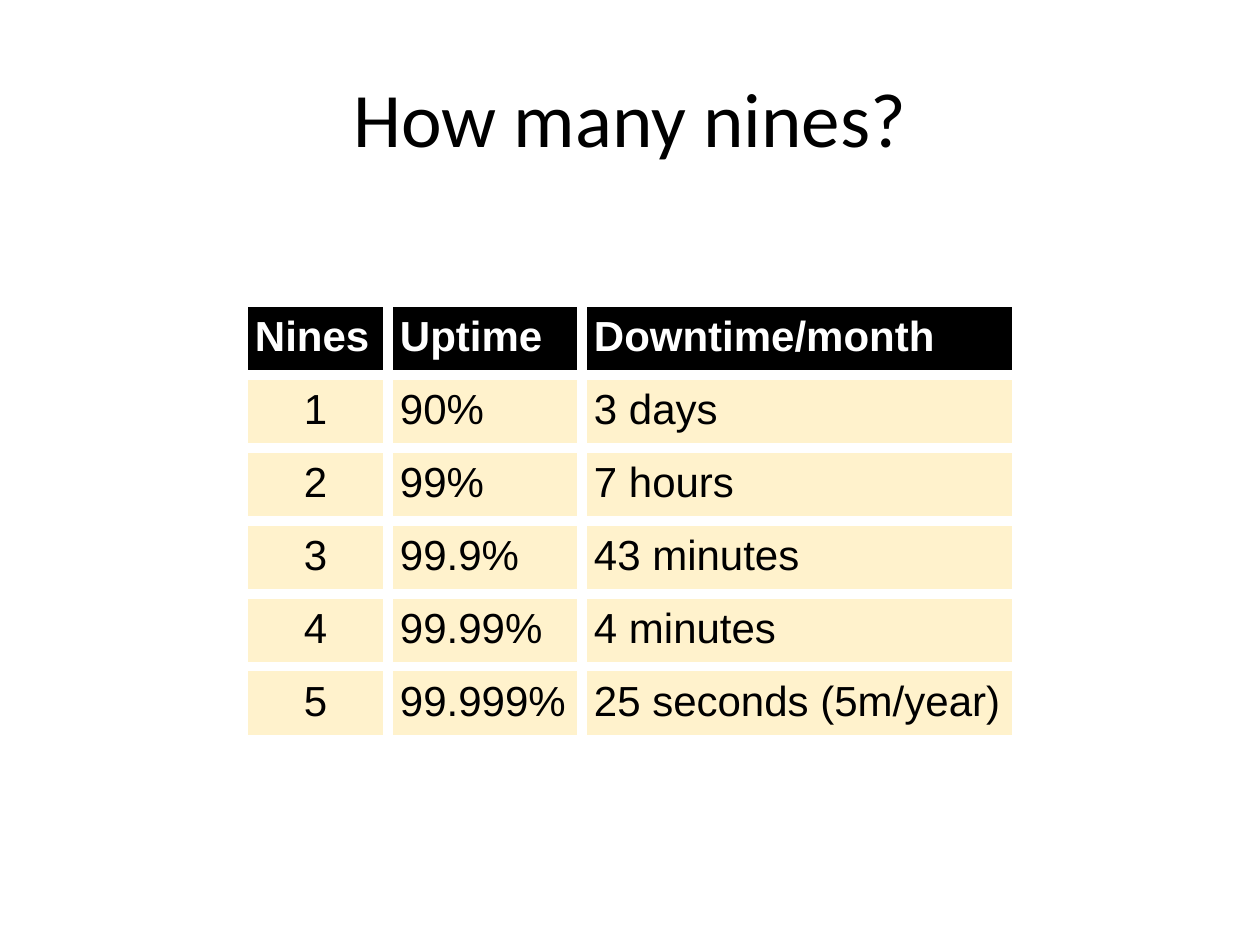
from lxml.etree import SubElement
from pptx import Presentation
from pptx.dml.color import RGBColor
from pptx.enum.text import MSO_ANCHOR, PP_ALIGN
from pptx.oxml.ns import qn
from pptx.util import Pt

PX_PER_INCH = 126
BLACK, WHITE, CREAM = "000000", "FFFFFF", "FFF2CC"
ROWS = [
    ("Nines", "Uptime", "Downtime/month"),
    ("1", "90%", "3 days"),
    ("2", "99%", "7 hours"),
    ("3", "99.9%", "43 minutes"),
    ("4", "99.99%", "4 minutes"),
    ("5", "99.999%", "25 seconds (5m/year)"),
]
COLUMN_WIDTHS = (145, 194, 435)


def px(n):
    return round(n * 914400 / PX_PER_INCH)


def rgb(value):
    return RGBColor.from_string(value)


def format_run(r, color, **formats):
    for name, value in formats.items():
        setattr(r.font, name, value)
    r.font.color.rgb = rgb(color)


def set_borders(cell, color, width):
    tc_pr = cell._tc.get_or_add_tcPr()
    for i, side in enumerate(("lnL", "lnR", "lnT", "lnB")):
        ln = SubElement(tc_pr, qn(f"a:{side}"), w=str(Pt(width)))
        fill = SubElement(ln, qn("a:solidFill"))
        SubElement(fill, qn("a:srgbClr"), val=color)
        tc_pr.remove(ln)
        tc_pr.insert(i, ln)  # borders come before the fill


def add_title(s, text, left, top, width, height):
    sp = s.shapes.title
    sp.left, sp.top, sp.width, sp.height = map(px, (left, top, width, height))
    tf = sp.text_frame
    tf.vertical_anchor = MSO_ANCHOR.MIDDLE
    p = tf.paragraphs[0]
    p.alignment = PP_ALIGN.CENTER
    r = p.add_run()
    r.text = text
    format_run(r, BLACK, name="Calibri", size=Pt(44))


def fill_cell(cell, text, header, centered):
    for side in ("left", "right", "top", "bottom"):
        setattr(cell, f"margin_{side}", px(12))
    cell.fill.solid()
    cell.fill.fore_color.rgb = rgb(BLACK if header else CREAM)
    set_borders(cell, WHITE, 6)
    p = cell.text_frame.paragraphs[0]
    p.alignment = PP_ALIGN.CENTER if centered else PP_ALIGN.LEFT
    r = p.add_run()
    r.text = text
    format_run(r, WHITE if header else BLACK,
               name="Arial", size=Pt(24), bold=header)


def add_uptime_table(s, left, top, row_height):
    box = (left, top, sum(COLUMN_WIDTHS), row_height * len(ROWS))
    table = s.shapes.add_table(len(ROWS), len(COLUMN_WIDTHS), *map(px, box)).table
    for column, width in zip(table.columns, COLUMN_WIDTHS):
        column.width = px(width)
    for i, row in enumerate(ROWS):
        table.rows[i].height = px(row_height)
        for j, text in enumerate(row):
            fill_cell(table.cell(i, j), text, header=i == 0,
                      centered=i > 0 and j == 0)


def main():
    prs = Presentation()
    prs.slide_width, prs.slide_height = px(1260), px(945)
    s = prs.slides.add_slide(prs.slide_layouts[5])  # title only
    add_title(s, "How many nines?", 63, 38, 1134, 157)
    add_uptime_table(s, 243, 302, 73)
    prs.save("out.pptx")


if __name__ == "__main__":
    main()
